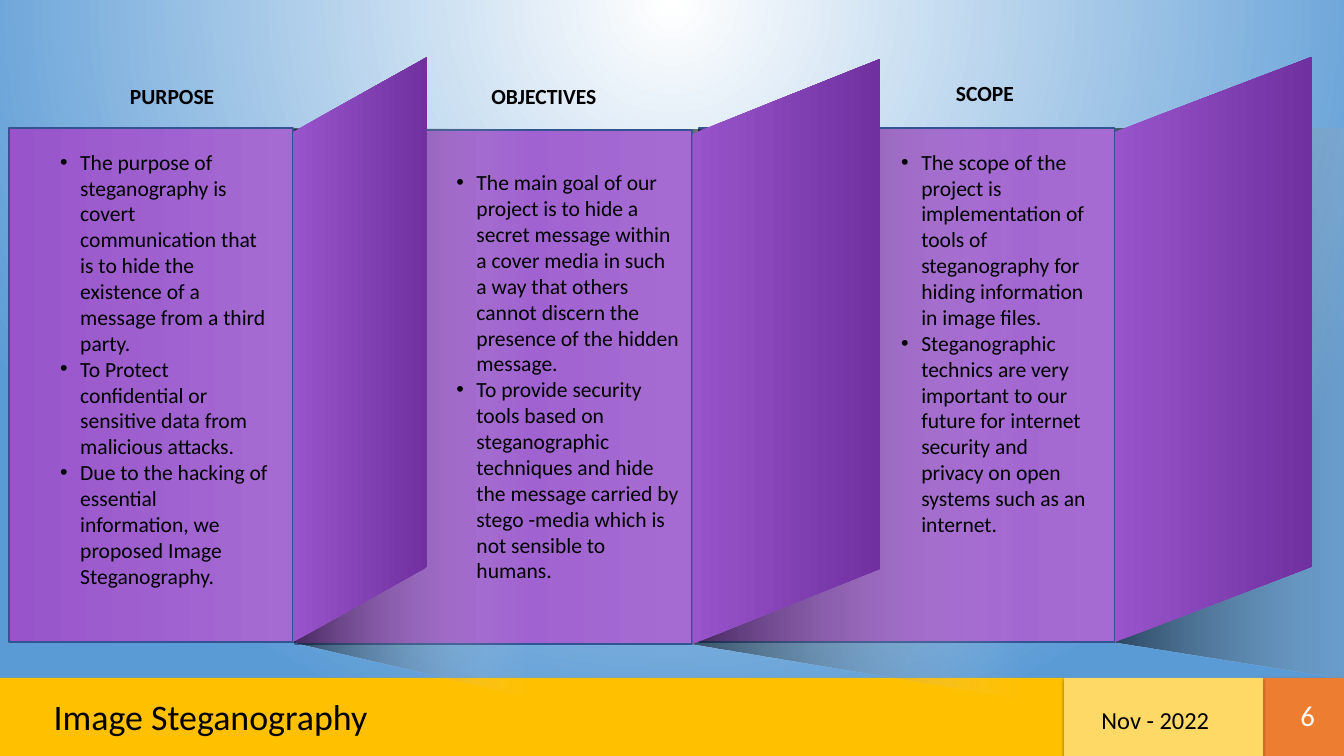
"""Build the purpose, objectives and scope slide with three folded panels."""
from dataclasses import dataclass

from lxml.etree import SubElement as Sub
from pptx import Presentation
from pptx.dml.color import RGBColor
from pptx.enum.shapes import MSO_SHAPE as Kind
from pptx.enum.text import MSO_ANCHOR as Anchor, MSO_AUTO_SIZE as Fit, PP_ALIGN as Align
from pptx.oxml.ns import qn
from pptx.util import Pt

WIDE, HIGH = 1496.88, 841.68
BAR_TOP = 754.6
TALL = 572.4
BULLET = 22.5


@dataclass
class Bar:
    left: float
    right: float
    color: str


@dataclass
class Panel:
    left: float
    top: float
    width: float
    wing: float
    shade: float
    head: str
    head_box: tuple[float, float, float, float]
    inset: float
    body: list[str]
    body_box: tuple[float, float, float, float]


BARS = [
    Bar(0, 1185.1, "FFC000"),
    Bar(1406.9, WIDE, "ED7D31"),
    Bar(1185.1, 1406.9, "FFD966"),
]

PANELS = [
    Panel(778.3, 142.6, 463, 219.6, 386, "SCOPE", (1046.9, 85, 151.2, 36), 10.8, [
        "The scope of the project is implementation of tools of steganography for hiding "
        "information in image files.",
        "Steganographic technics are very important to our future for internet security and "
        "privacy on open systems such as an internet.",
    ], (996.5, 162, 229, 443.5)),
    Panel(329, 144.7, 442.1, 209.5, 368.6, "OBJECTIVES", (518.4, 89.3, 208.8, 36), 21.7, [
        "The main goal of our project is to hide a secret message within a cover media in such "
        "a way that others cannot discern the presence of the hidden message.",
        "To provide security tools based on steganographic techniques and hide the message "
        "carried by stego -media which is not sensible to humans.",
    ], (501.1, 185, 262.1, 472.3)),
    Panel(10.1, 142.6, 316.1, 149.8, 263.5, "PURPOSE", (115.9, 89.3, 169.2, 36), 21.7, [
        "The purpose of steganography is covert communication that is to hide the existence of "
        "a message from a third party.",
        "To Protect confidential or sensitive data from malicious attacks.",
        "Due to the hacking of essential information, we proposed Image Steganography.",
    ], (59.8, 162, 247, 501.8)),
]


def rgb(code: str) -> RGBColor:
    return RGBColor.from_string(code)


def blend(fill, start: str, end: str, angle: float = 0) -> None:
    fill.gradient()
    fill.gradient_angle = angle
    for stop, code in zip(fill.gradient_stops, (start, end)):
        stop.color.rgb = rgb(code)


def glow(slide) -> None:
    blend(slide.background.fill, "FFFFFF", "5B9BD5")
    grad = slide.element.find(".//" + qn("a:gradFill"))
    grad.remove(grad.find(qn("a:lin")))
    ring = Sub(grad, qn("a:path"), path="circle")
    Sub(ring, qn("a:fillToRect"), l="50000", t="-80000", r="50000", b="180000")


def write(shape, lines: list[str], size: float, color: str = "000000", bold: bool = False,
          align=Align.LEFT, anchor=Anchor.TOP, inset: float = 0, bullet: bool = False) -> None:
    frame = shape.text_frame
    frame.word_wrap = True
    frame.auto_size = Fit.NONE
    frame.vertical_anchor = anchor
    frame.text = "\n".join(lines)
    for para in frame.paragraphs:
        para.alignment = align
        font = para.runs[0].font
        font.name, font.size, font.bold = "Calibri", Pt(size), bold
        font.color.rgb = rgb(color)
        props = para._p.get_or_add_pPr()
        props.set("marL", str(Pt(inset)))
        if bullet:
            props.set("indent", str(-Pt(inset)))
            Sub(Sub(props, qn("a:buClr")), qn("a:srgbClr"), val=color)
            Sub(props, qn("a:buFont"), typeface="Arial")
            Sub(props, qn("a:buChar"), char="•")


def label(slide, box: tuple, lines: list[str], size: float, **style) -> None:
    write(slide.shapes.add_textbox(*map(Pt, box)), lines, size, **style)


def block(slide, left: float, top: float, width: float, height: float):
    shape = slide.shapes.add_shape(Kind.RECTANGLE, Pt(left), Pt(top), Pt(width), Pt(height))
    shape.shadow.inherit = False
    return shape


def outline(slide, points: list[tuple[float, float]]):
    first, *rest = [(Pt(x), Pt(y)) for x, y in points]
    pen = slide.shapes.build_freeform(*first)
    pen.add_line_segments(rest, close=True)
    shape = pen.convert_to_shape()
    shape.shadow.inherit = False
    shape.line.fill.background()
    return shape


def draw_bar(slide, bar: Bar) -> None:
    shape = block(slide, bar.left, BAR_TOP, bar.right - bar.left, HIGH - BAR_TOP)
    shape.fill.solid()
    shape.fill.fore_color.rgb = rgb(bar.color)
    shape.line.fill.background()
    cast = Sub(shape.element.spPr.find(qn("a:effectLst")), qn("a:outerShdw"),
               blurRad=str(Pt(3.5)), dist=str(Pt(2.2)), dir="5400000", rotWithShape="0")
    Sub(Sub(cast, qn("a:srgbClr"), val="000000"), qn("a:alpha"), val="32000")


def draw_panel(slide, panel: Panel) -> None:
    top, fold = panel.top, panel.left + panel.width
    base, far, edge = top + TALL, fold + panel.shade, fold + panel.wing

    shade = outline(slide, [(fold, top), (far, top), (far + 1.5, top + 634.3), (fold, base)])
    blend(shade.fill, "FFFFFF", "000000", 180)
    for code, alpha in zip(shade.element.iter(qn("a:srgbClr")), ("0", "54000")):
        Sub(code, qn("a:alpha"), val=alpha)

    face = block(slide, panel.left, top, panel.width, TALL)
    blend(face.fill, "9855CB", "A66BD3")
    face.line.color.rgb = rgb("325491")
    face.line.width = Pt(2)

    wing = outline(slide, [(edge, top - 79.2), (edge, top + 488.2), (fold, base),
                           (fold, top + 4.3)])
    blend(wing.fill, "9855CB", "7030A0")


def main() -> None:
    deck = Presentation()
    deck.slide_width, deck.slide_height = Pt(WIDE), Pt(HIGH)
    slide = deck.slides.add_slide(deck.slide_layouts[5])
    glow(slide)
    for bar in BARS:
        draw_bar(slide, bar)

    title = slide.shapes.title
    title.left, title.top, title.width, title.height = map(Pt, (52.6, 769.7, 887.8, 55.4))
    write(title, ["Image Steganography"], 40)
    title.element.getparent().append(title.element)
    label(slide, (1426.3, 780.5, 45.4, 30.2), ["6"], 32, color="FFFFFF",
          align=Align.RIGHT, anchor=Anchor.MIDDLE)
    label(slide, (1219.7, 781.9, 176.4, 40.3), ["Nov - 2022"], 27.2)

    for panel in PANELS:
        draw_panel(slide, panel)
    for panel in PANELS:
        label(slide, panel.head_box, [panel.head], 24, bold=True, inset=panel.inset)
        label(slide, panel.body_box, panel.body, 24, inset=BULLET, bullet=True)
    deck.save("out.pptx")


if __name__ == "__main__":
    main()
